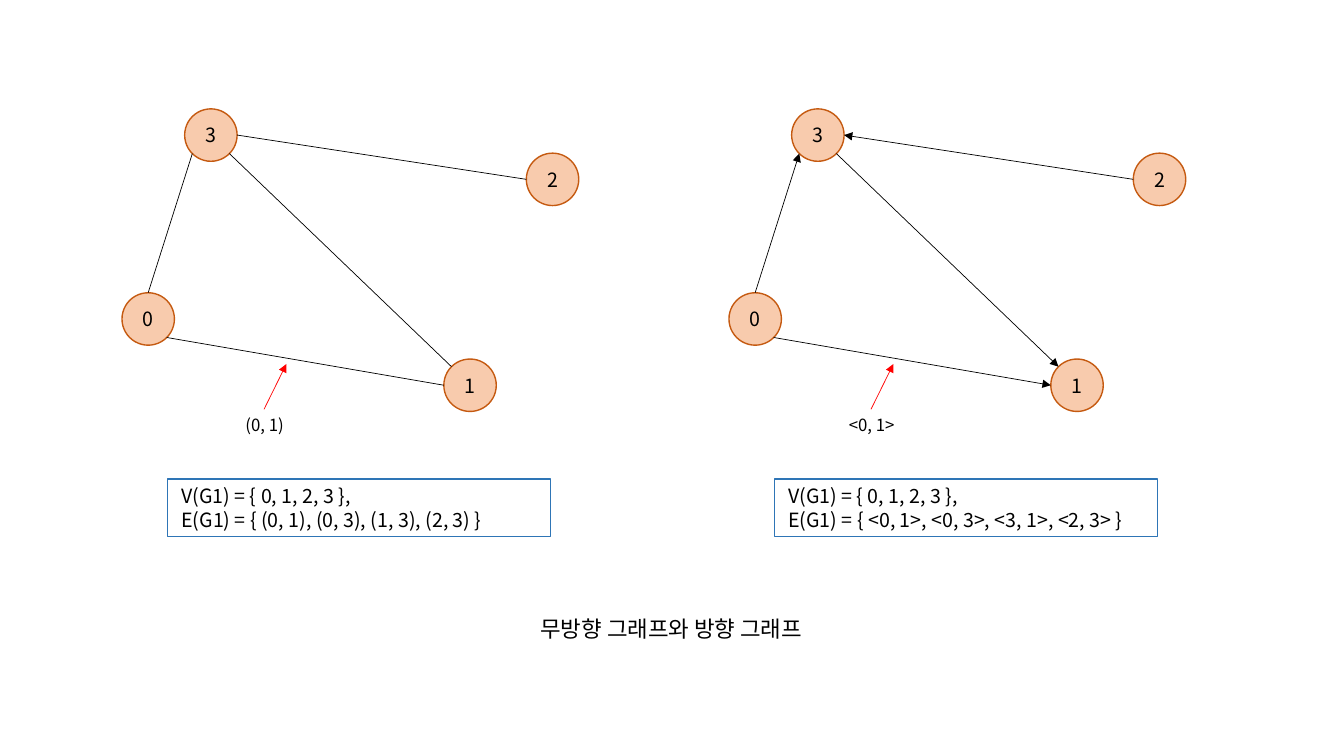
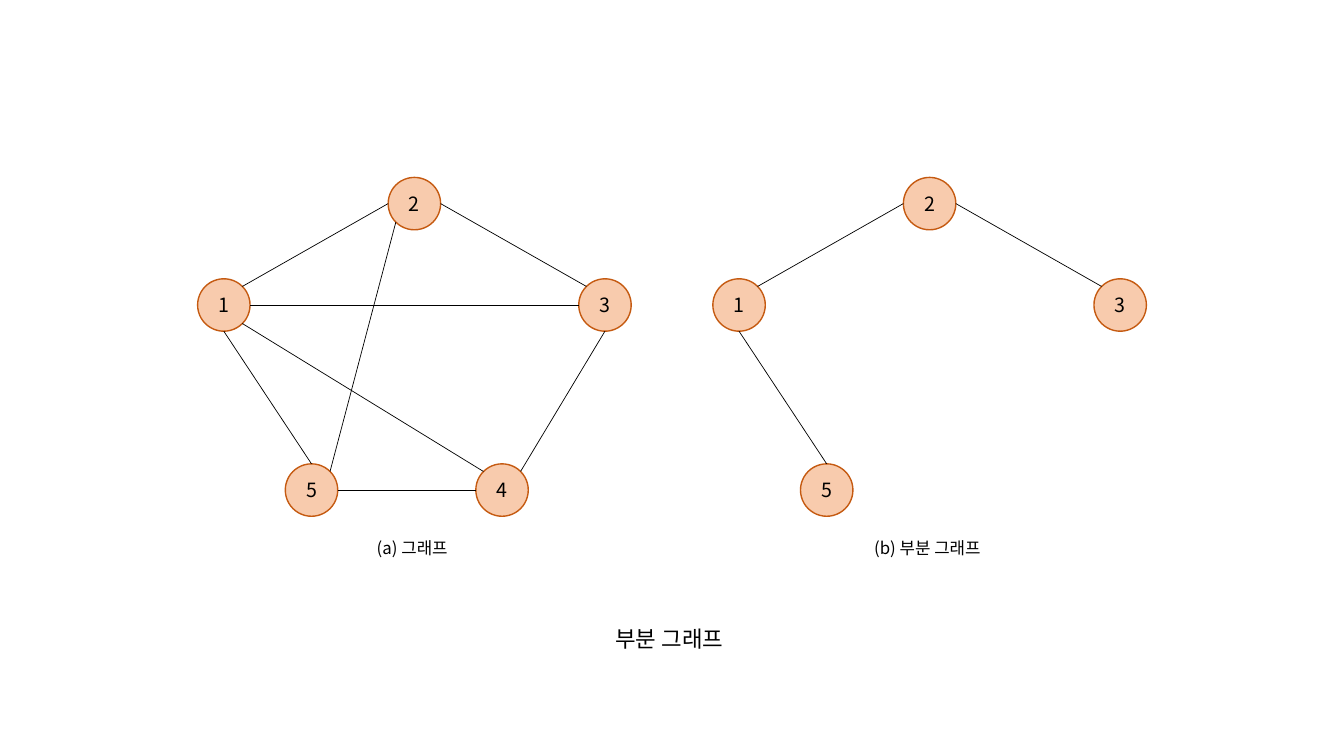
import math
from dataclasses import dataclass

import pptx
import pptx.dml.color
import pptx.enum.shapes
import pptx.enum.text
import pptx.oxml.ns
import pptx.util
from lxml import etree

In, Pt = pptx.util.Inches, pptx.util.Pt
qn = pptx.oxml.ns.qn
RGB = pptx.dml.color.RGBColor.from_string
ALIGN = pptx.enum.text.PP_ALIGN
SHAPE = pptx.enum.shapes.MSO_SHAPE


@dataclass(frozen=True)
class Theme:
    font: str = "Noto Sans CJK KR"
    text: str = "000000"
    node_fill: str = "F8CBAD"
    node_line: str = "C55A11"
    info_line: str = "2E75B6"
    pointer: str = "FF0000"
    title_size: int = 16
    body_size: int = 14
    label_size: int = 12
    edge_width: float = 0.5
    info_width: float = 0.75
    node_width: float = 1
    node: float = 0.52


@dataclass(frozen=True)
class Box:
    x: float
    y: float
    w: float
    h: float

    def point(self, x, y):
        """Position at the given percentages of this box."""
        return self.x + self.w * x / 100, self.y + self.h * y / 100

    def inner(self, x, y, w, h):
        """Inner box given in percentages of this box."""
        return Box(*self.point(x, y), self.w * w / 100, self.h * h / 100)

    def emu(self):
        return [In(v) for v in (self.x, self.y, self.w, self.h)]


T = Theme()
SLIDE = Box(0, 0, 13.33, 7.5)

# Connection sites of an ellipse, counter-clockwise from the top
SITES = ["T", "TL", "L", "BL", "B", "BR", "R", "TR"]

# Node positions and edges (node, site, node, site)
ROUTE_NODES = {"3": (15.5, 0), "0": (0, 73.5), "1": (79.6, 100), "2": (100, 17.7)}
ROUTE_EDGES = ["2 L 3 R", "0 T 3 BL", "0 BR 1 L", "3 BR 1 TL"]
PENTAGON = {"1": (0, 35.4), "2": (50, 0), "3": (100, 35.4), "4": (73, 100), "5": (23, 100)}
SUB_EDGES = ["1 TR 2 L", "3 TL 2 R", "1 B 5 T"]
ALL_EDGES = SUB_EDGES + ["5 R 4 L", "3 B 4 TR", "2 BL 5 TR", "3 L 1 R", "4 TL 1 BR"]


def write(sp, lines, size, align=ALIGN.CENTER, inset=0.1, spacing=None):
    tf = sp.text_frame
    frame = dict(word_wrap=True, auto_size=pptx.enum.text.MSO_AUTO_SIZE.NONE,
                 vertical_anchor=pptx.enum.text.MSO_ANCHOR.MIDDLE,
                 margin_left=In(inset), margin_right=In(inset),
                 margin_top=0, margin_bottom=0)
    for key, value in frame.items():
        setattr(tf, key, value)
    for i, line_text in enumerate(lines):
        p = tf.add_paragraph() if i else tf.paragraphs[0]
        p.alignment, p.line_spacing = align, spacing
        r = p.add_run()
        r.text = line_text
        for key, value in dict(name=T.font, size=Pt(size)).items():
            setattr(r.font, key, value)
        r.font.color.rgb = RGB(T.text)
        latin = r.font._element.find(qn("a:latin"))
        latin.addnext(etree.Element(qn("a:ea"), typeface=T.font))


def label(slide, box, text):
    write(slide.shapes.add_textbox(*box.emu()), [text], T.label_size)


def outlined(slide, kind, box, color, width, fill=None):
    sp = slide.shapes.add_shape(kind, *box.emu())
    sp.shadow.inherit = False
    if fill:
        sp.fill.solid()
        sp.fill.fore_color.rgb = RGB(fill)
    else:
        sp.fill.background()
    sp.line.color.rgb, sp.line.width = RGB(color), Pt(width)
    return sp


def line(slide, start, end, color, arrow=False):
    cx = slide.shapes.add_connector(pptx.enum.shapes.MSO_CONNECTOR.STRAIGHT,
                                    *[In(v) for v in (*start, *end)])
    cx.line.color.rgb, cx.line.width = RGB(color), Pt(T.edge_width)
    if arrow:
        ln = cx._element.spPr.find(qn("a:ln"))
        etree.SubElement(ln, qn("a:tailEnd"), type="triangle")
    etree.SubElement(cx._element.spPr, qn("a:effectLst"))
    return cx


def site_point(box, site):
    angle = math.radians(90 + 45 * SITES.index(site))
    return box.point(50 + 50 * math.cos(angle), 50 - 50 * math.sin(angle))


def glue(cx, tag, sp, site):
    """Join a connector end to one of the eight sites of an ellipse."""
    props = cx._element.find(".//" + qn("p:cNvCxnSpPr"))
    etree.SubElement(props, qn(tag), id=str(sp.shape_id), idx=str(SITES.index(site)))


def graph(slide, box, nodes, edges, directed=False):
    travel = Box(box.x, box.y, box.w - T.node, box.h - T.node)
    boxes, shapes = {}, {}
    for name, place in nodes.items():
        boxes[name] = Box(*travel.point(*place), T.node, T.node)
        shapes[name] = outlined(slide, SHAPE.OVAL, boxes[name], T.node_line,
                                T.node_width, T.node_fill)
        write(shapes[name], [name], T.body_size)
    for edge in edges:
        a, a_site, b, b_site = edge.split()
        cx = line(slide, site_point(boxes[a], a_site), site_point(boxes[b], b_site),
                  T.text, directed)
        glue(cx, "a:stCxn", shapes[a], a_site)
        glue(cx, "a:endCxn", shapes[b], b_site)


def set_panel(slide, box, edge_name, edge_set, directed):
    """Graph with one edge pointed out and its sets listed below."""
    graph(slide, box.inner(0, 0, 100, 70.8), ROUTE_NODES, ROUTE_EDGES, directed)
    line(slide, box.point(31.1, 70.3), box.point(36, 59.7), T.pointer, True)
    label(slide, box.inner(17.9, 70.5, 26.7, 7), edge_name)
    info = outlined(slide, SHAPE.RECTANGLE, box.inner(9.9, 86.6, 83.9, 13.4),
                    T.info_line, T.info_width)
    write(info, ["V(G1) = { 0, 1, 2, 3 },", f"E(G1) = {{ {edge_set} }}"],
          T.body_size, ALIGN.LEFT, 0.14, Pt(17))


def captioned_panel(slide, box, caption, names, edges):
    nodes = {n: PENTAGON[n] for n in names}
    graph(slide, box.inner(0, 0, 100, 88), nodes, edges)
    label(slide, box.inner(11, 92.1, 77, 7.9), caption)


def titled_slide(prs, title, box):
    slide = prs.slides.add_slide(prs.slide_layouts[5])
    sp = slide.shapes.title
    sp.left, sp.top, sp.width, sp.height = box.emu()
    write(sp, [title], T.title_size)
    return slide


def main():
    prs = pptx.Presentation()
    prs.slide_width, prs.slide_height = In(SLIDE.w), In(SLIDE.h)

    slide = titled_slide(prs, "무방향 그래프와 방향 그래프", SLIDE.inner(25.2, 80.7, 49.5, 4.9))
    panels = [("(0, 1)", "(0, 1), (0, 3), (1, 3), (2, 3)", False),
              ("<0, 1>", "<0, 1>, <0, 3>, <3, 1>, <2, 3>", True)]
    for i, panel in enumerate(panels):
        set_panel(slide, Box(1.21 + 6.02 * i, 1.08, 4.53, 4.24), *panel)

    slide = titled_slide(prs, "부분 그래프", SLIDE.inner(37.4, 82, 24.8, 4.9))
    panels = [("(a) 그래프", "12345", ALL_EDGES), ("(b) 부분 그래프", "1235", SUB_EDGES)]
    for i, panel in enumerate(panels):
        captioned_panel(slide, Box(1.96 + 5.11 * i, 1.76, 4.3, 3.82), *panel)

    prs.save("out.pptx")


if __name__ == "__main__":
    main()
